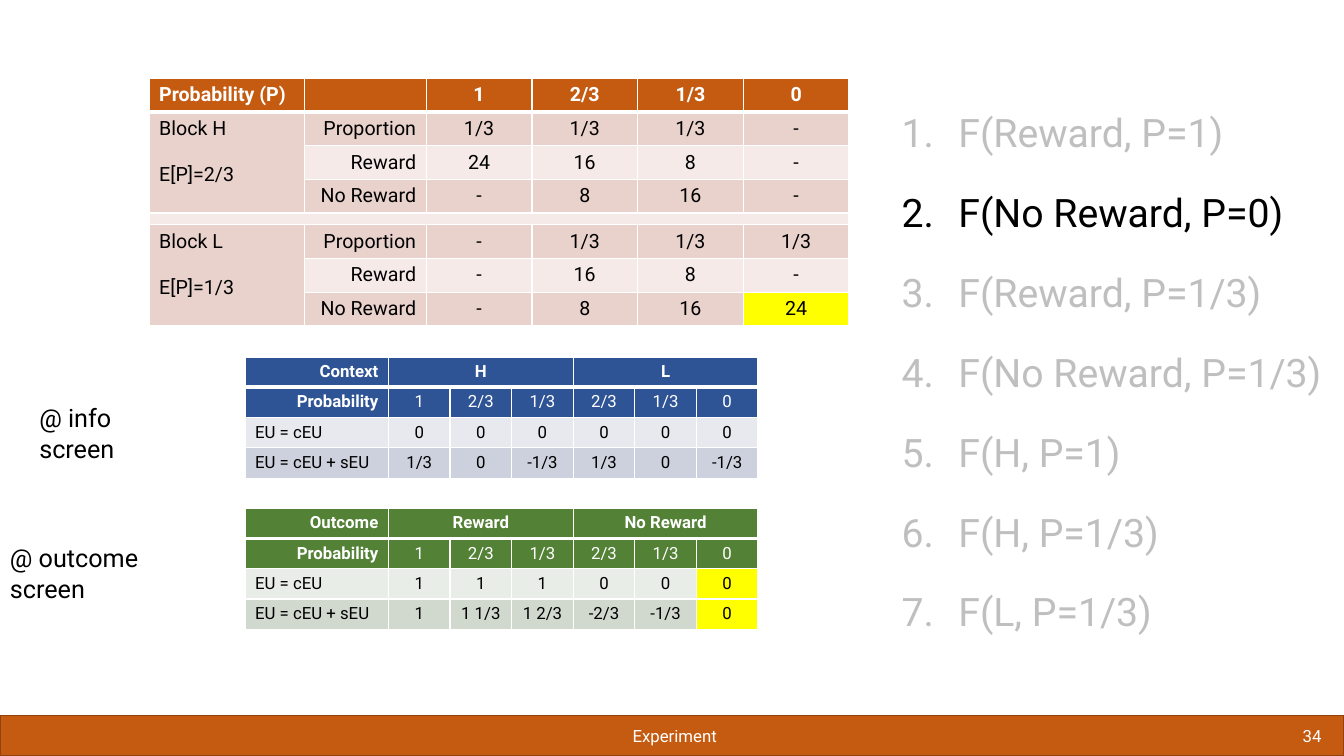
from lxml.etree import SubElement
from pptx import Presentation
from pptx.dml.color import RGBColor
from pptx.enum.shapes import MSO_SHAPE
from pptx.enum.text import MSO_ANCHOR, PP_ALIGN
from pptx.oxml import parse_xml
from pptx.oxml.ns import nsdecls, qn
from pptx.util import Pt

FONT = "Roboto"
WHITE = RGBColor(0xFF, 0xFF, 0xFF)
BLACK = RGBColor(0, 0, 0)
GREY = RGBColor(0xBF, 0xBF, 0xBF)
YELLOW = RGBColor(0xFF, 0xFF, 0)
ORANGE = RGBColor(0xC5, 0x5A, 0x11)
BROWN = RGBColor(0x92, 0x43, 0x0D)
# header, darker band, lighter band
ORANGES = ORANGE, RGBColor(0xEA, 0xD2, 0xCC), RGBColor(0xF5, 0xEA, 0xE7)
BLUES = RGBColor(0x2F, 0x54, 0x96), RGBColor(0xCD, 0xD1, 0xDD), RGBColor(0xE8, 0xE9, 0xEF)
GREENS = RGBColor(0x53, 0x81, 0x35), RGBColor(0xD1, 0xD8, 0xCE), RGBColor(0xE9, 0xED, 0xE8)
ALIGN = {"l": PP_ALIGN.LEFT, "c": PP_ALIGN.CENTER, "r": PP_ALIGN.RIGHT}

SLIDE_W, SLIDE_H, FOOTER_H = 960, 540, 29
FOOTER_TOP = SLIDE_H - FOOTER_H
SECTION, PAGE = "Experiment", "34"

BLOCKS = [
    ["Probability (P)", "", "1", "2/3", "1/3", "0"],
    ["Block H\nE[P]=2/3", "Proportion", "1/3", "1/3", "1/3", "-"],
    ["", "Reward", "24", "16", "8", "-"],
    ["", "No Reward", "-", "8", "16", "-"],
    [""] * 6,
    ["Block L\nE[P]=1/3", "Proportion", "-", "1/3", "1/3", "1/3"],
    ["", "Reward", "-", "16", "8", "-"],
    ["", "No Reward", "-", "8", "16", "24"],
]
BLOCK_MERGES = [(1, 0, 3, 0), (4, 0, 4, 5), (5, 0, 7, 0)]
GAP_ROW = 4

PROBABILITIES = ["Probability", "1", "2/3", "1/3", "2/3", "1/3", "0"]
INFO = [
    ["Context", "H", "", "", "L", "", ""],
    PROBABILITIES,
    ["EU = cEU", "0", "0", "0", "0", "0", "0"],
    ["EU = cEU + sEU", "1/3", "0", "-1/3", "1/3", "0", "-1/3"],
]
OUTCOME = [
    ["Outcome", "Reward", "", "", "No Reward", "", ""],
    PROBABILITIES,
    ["EU = cEU", "1", "1", "1", "0", "0", "0"],
    ["EU = cEU + sEU", "1", "1 1/3", "1 2/3", "-2/3", "-1/3", "0"],
]
EU_MERGES = [(0, 1, 0, 3), (0, 4, 0, 6)]
EU_COLUMNS = [102.5] + [44] * 6
EU_LEFT = 175

SCREEN_LABELS = [("@ outcome screen", 0, 384, 158), ("@ info screen", 21, 284, 116)]

EFFECTS = [
    "F(Reward, P=1)", "F(No Reward, P=0)", "F(Reward, P=1/3)", "F(No Reward, P=1/3)",
    "F(H, P=1)", "F(H, P=1/3)", "F(L, P=1/3)",
]
CURRENT_EFFECT = "F(No Reward, P=0)"


def write(frame, text, *, size, color=BLACK, bold=False, align="l", gap=0):
    """Fill a text frame, one paragraph a line, with gap points between them."""
    for number, line in enumerate(text.split("\n")):
        paragraph = frame.add_paragraph() if number else frame.paragraphs[0]
        paragraph.alignment = ALIGN[align]
        if number:
            paragraph.space_before = Pt(gap)
        if not line:
            SubElement(paragraph._p, qn("a:endParaRPr"), sz=str(size * 100))
            continue
        run = paragraph.add_run()
        run.text = line
        run.font.name, run.font.size = FONT, Pt(size)
        run.font.bold, run.font.color.rgb = bold, color


def text_box(text, left, top, width, height, *, anchor=MSO_ANCHOR.TOP, **text_format):
    frame = slide.shapes.add_textbox(Pt(left), Pt(top), Pt(width), Pt(height)).text_frame
    frame.word_wrap = True
    frame.vertical_anchor = anchor
    write(frame, text, **text_format)
    return frame


def set_borders(cell, top, bottom):
    """White borders; top and bottom are widths in points."""
    properties = cell._tc.get_or_add_tcPr()
    for place, (side, width) in enumerate([("L", 1), ("R", 1), ("T", top), ("B", bottom)]):
        properties.insert(place, parse_xml(
            f'<a:ln{side} {nsdecls("a")} w="{Pt(width)}"><a:solidFill>'
            f'<a:srgbClr val="{WHITE}"/></a:solidFill></a:ln{side}>'))


def banded_table(content, left, top, columns, heights, palette, merges, *, size,
                 header_rows, header_align, body_align, marked=(), gap_row=None):
    header, dark, light = palette
    table = slide.shapes.add_table(len(content), len(columns), Pt(left), Pt(top),
                                   Pt(sum(columns)), Pt(sum(heights))).table
    for column, width in zip(table.columns, columns):
        column.width = Pt(width)
    for r, (texts, height) in enumerate(zip(content, heights)):
        table.rows[r].height = Pt(height)
        in_header = r < header_rows
        band = header if in_header else dark if r % 2 else light
        for c, text in enumerate(texts):
            cell = table.cell(r, c)
            write(cell.text_frame, text, size=1 if r == gap_row else size,
                  color=WHITE if in_header else BLACK,
                  bold=r == 0 or (in_header and c == 0),
                  align=(header_align if in_header else body_align)[c], gap=16.4)
            cell.fill.solid()
            cell.fill.fore_color.rgb = YELLOW if (r, c) in marked else band
            set_borders(cell, 3 if r == 1 else 1, 3 if r == 0 else 1)
    for first_row, first_column, last_row, last_column in merges:
        table.cell(first_row, first_column).merge(table.cell(last_row, last_column))


def eu_table(content, top, palette, marked=()):
    banded_table(content, EU_LEFT, top, EU_COLUMNS, [21.4] * 4, palette, EU_MERGES, size=12,
                 header_rows=2, header_align="rcccccc", body_align="lcccccc", marked=marked)


def number_list(frame, indent):
    for paragraph in frame.paragraphs:
        paragraph.line_spacing = 1.4
        paragraph.space_before = Pt(10)
        properties = paragraph._p.get_or_add_pPr()
        properties.set("marL", str(Pt(indent)))
        properties.set("indent", str(-Pt(indent)))
        SubElement(properties, qn("a:buFont"), typeface=FONT)
        SubElement(properties, qn("a:buAutoNum"), type="arabicPeriod")


deck = Presentation()
deck.slide_width, deck.slide_height = Pt(SLIDE_W), Pt(SLIDE_H)
slide = deck.slides.add_slide(deck.slide_layouts[6])

footer = slide.shapes.add_shape(MSO_SHAPE.RECTANGLE, 0, Pt(FOOTER_TOP), Pt(SLIDE_W), Pt(FOOTER_H))
footer.shadow.inherit = False
footer.fill.solid()
footer.fill.fore_color.rgb = ORANGE
footer.line.color.rgb = BROWN
footer.line.width = Pt(1)
for words, left, width, align in [(SECTION, 161, 642, "c"), (PAGE, 803, 148, "r")]:
    text_box(words, left, FOOTER_TOP, width, FOOTER_H, anchor=MSO_ANCHOR.MIDDLE,
             size=12, color=WHITE, align=align)

eu_table(INFO, 255, BLUES)
eu_table(OUTCOME, 363, GREENS, marked=[(2, 6), (3, 6)])
block_heights = [8.5 if r == GAP_ROW else 23.7 for r in range(len(BLOCKS))]
banded_table(BLOCKS, 106.5, 56, [111, 87] + [75.5] * 4, block_heights, ORANGES, BLOCK_MERGES,
             size=14, header_rows=1, header_align="llcccc", body_align="lrcccc",
             marked=[(7, 5)], gap_row=GAP_ROW)

for label, left, top, width in SCREEN_LABELS:
    text_box(label, left, top, width, 29, size=18)

effects = text_box("\n".join(EFFECTS), 637, 60.5, 330, 402, size=28, color=GREY)
number_list(effects, 40.5)
effects.paragraphs[EFFECTS.index(CURRENT_EFFECT)].runs[0].font.color.rgb = BLACK

deck.save("out.pptx")
